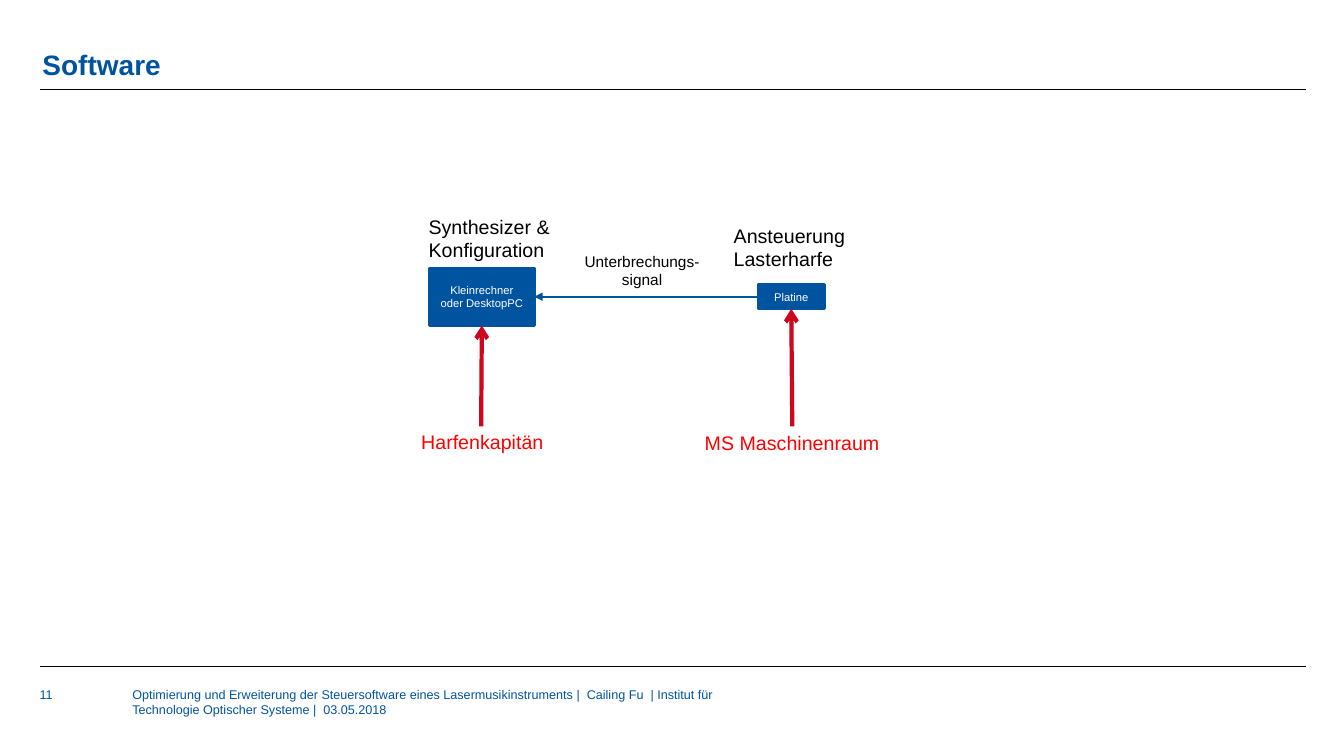
from lxml.etree import SubElement
from pptx import Presentation
from pptx.dml.color import RGBColor
from pptx.enum.shapes import MSO_CONNECTOR as Connector, MSO_SHAPE as Shape
from pptx.enum.text import MSO_ANCHOR as Anchor, MSO_AUTO_SIZE as AutoSize, PP_ALIGN as Align
from pptx.oxml.ns import qn
from pptx.util import Inches, Pt

COLORS = {"blue": "00549F", "crimson": "CC071E", "red": "FF0000",
          "black": "000000", "white": "FFFFFF"}


def rgb(name):
    return RGBColor.from_string(COLORS[name])


def write(tf, text, size=14, color="black", bold=False, align=Align.LEFT,
          anchor=Anchor.TOP, margins=(0.1, 0.05), wrap=True, spacing=None):
    tf.auto_size = AutoSize.NONE
    tf.word_wrap = wrap
    tf.vertical_anchor = anchor
    tf.margin_left = tf.margin_right = Inches(margins[0])
    tf.margin_top = tf.margin_bottom = Inches(margins[1])
    p = tf.paragraphs[0]
    p.alignment = align
    p.line_spacing = spacing
    r = p.add_run()
    r.text = text
    r.font.name = "Arial"
    r.font.size = Pt(size)
    r.font.bold = bold
    r.font.color.rgb = rgb(color)


class Deck:
    def __init__(self):
        self.prs = Presentation()
        self.prs.slide_width = Inches(13.33)
        self.prs.slide_height = Inches(7.5)
        self.s = self.prs.slides.add_slide(self.prs.slide_layouts[5])

    def place(self, x, y):
        return (round(self.prs.slide_width * x / 100),
                round(self.prs.slide_height * y / 100))

    def area(self, x, y, w, h):
        return self.place(x, y) + self.place(w, h)

    def title(self, text, *area):
        sp = self.s.shapes.title
        sp.left, sp.top, sp.width, sp.height = self.area(*area)
        write(sp.text_frame, text, size=20, color="blue", bold=True,
              anchor=Anchor.BOTTOM, margins=(0, 0), spacing=0.9)

    def text(self, text, *area, **style):
        sp = self.s.shapes.add_textbox(*self.area(*area))
        write(sp.text_frame, text, **style)

    def box(self, text, *area):
        sp = self.s.shapes.add_shape(Shape.RECTANGLE, *self.area(*area))
        sp.shadow.inherit = False
        sp.fill.solid()
        sp.fill.fore_color.rgb = rgb("blue")
        sp.line.color.rgb = rgb("blue")
        sp.line.width = Pt(2)
        write(sp.text_frame, text, size=8, color="white",
              align=Align.CENTER, anchor=Anchor.MIDDLE)

    def line(self, start, end, color="black", width=0.75, head=None):
        cx = self.s.shapes.add_connector(
            Connector.STRAIGHT, *self.place(*start), *self.place(*end))
        cx.line.color.rgb = rgb(color)
        cx.line.width = Pt(width)
        if head:
            SubElement(cx.line._get_or_add_ln(), qn("a:tailEnd"), type=head)
        SubElement(cx._element.spPr, qn("a:effectLst"))


def main():
    deck = Deck()
    footer = dict(size=9, color="blue", margins=(0, 0))
    deck.text("Optimierung und Erweiterung der Steuersoftware eines "
              "Lasermusikinstruments |  Cailing Fu  | Institut für "
              "Technologie Optischer Systeme |  03.05.2018",
              9.85, 90.8, 46.1, 9.2, **footer)
    deck.text("11", 2.95, 90.8, 6, 5.7, **footer)
    for y in (11.87, 88.13):
        deck.line((2.95, y), (97.15, y))
    deck.title("Software", 3.15, 2.9, 94.2, 7.9)

    computer = (31.95, 35.45, 7.8, 7.6)
    board = (56.4, 37.65, 4.95, 3.2)
    deck.box("Platine", *board)
    deck.box("Kleinrechner oder DesktopPC", *computer)
    signal_y = board[1] + board[3] / 2
    deck.line((board[0], signal_y), (computer[0] + computer[2], signal_y),
              color="blue", width=1.5, head="triangle")
    for (x, y, w, h), start_x in ((computer, 35.8), (board, 58.95)):
        deck.line((start_x, 56.4), (x + w / 2, y + h),
                  color="crimson", width=3, head="arrow")

    deck.text("Unterbrechungs-signal", 42.45, 32.65, 10.65, 6.25,
              size=11, align=Align.CENTER)
    deck.text("Ansteuerung Lasterharfe", 53.85, 28.95, 10.05, 7.6)
    deck.text("Synthesizer & Konfiguration", 31.15, 27.75, 11.7, 7.6)
    deck.text("MS Maschinenraum", 51.7, 56.4, 14.55, 4.5, color="red", wrap=False)
    deck.text("Harfenkapitän", 30.6, 56.25, 10.65, 4.5, color="red", wrap=False)
    deck.prs.save("out.pptx")


if __name__ == "__main__":
    main()
